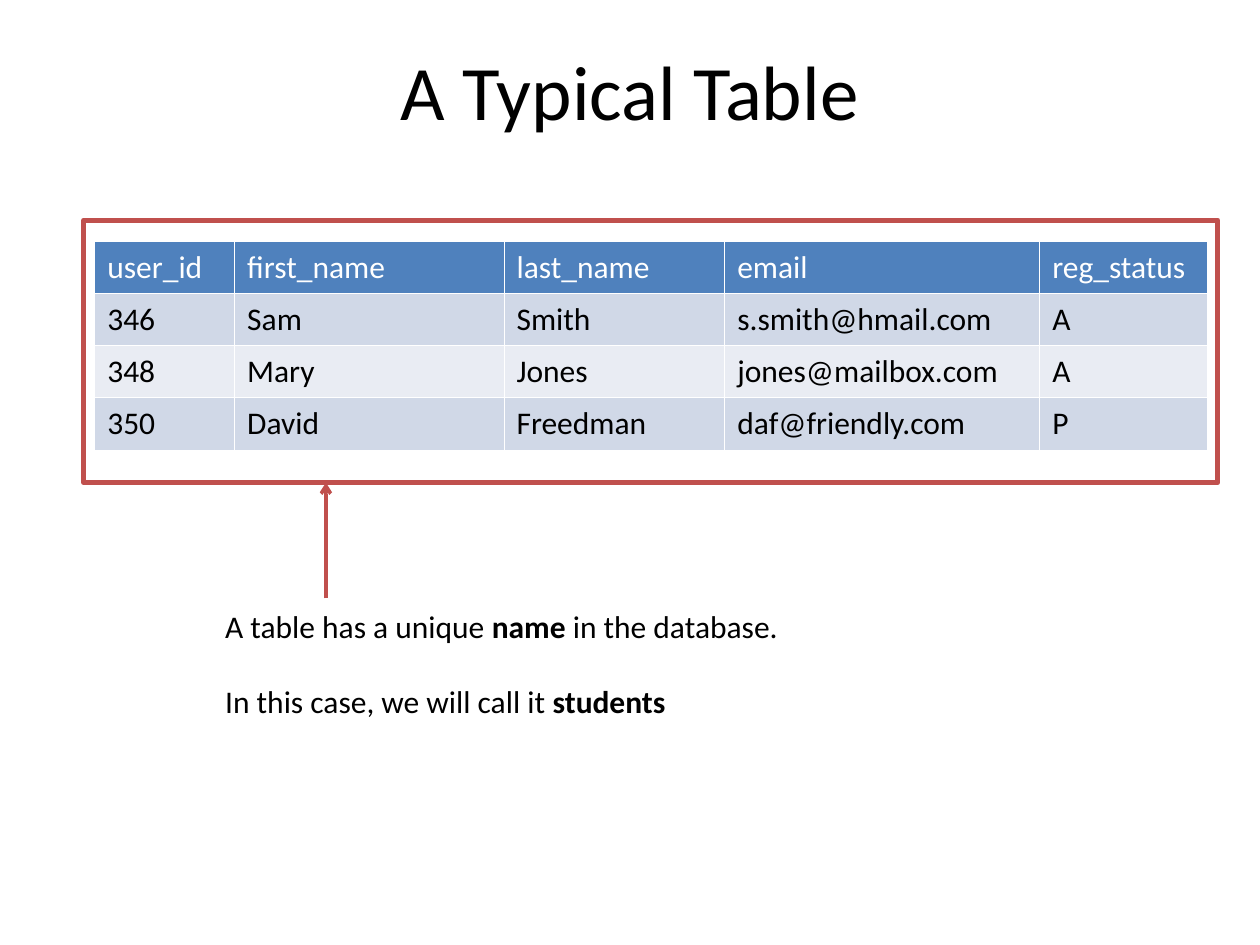
from lxml import etree
from pptx import Presentation
from pptx.dml.color import RGBColor
from pptx.enum.shapes import MSO_CONNECTOR, MSO_SHAPE
from pptx.enum.text import MSO_ANCHOR, MSO_AUTO_SIZE, PP_ALIGN
from pptx.oxml import parse_xml
from pptx.oxml.ns import nsdecls, qn
from pptx.util import Cm, Pt

TITLE = "A Typical Table"
STUDENTS = [
    ("user_id", "first_name", "last_name", "email", "reg_status"),
    ("346", "Sam", "Smith", "s.smith@hmail.com", "A"),
    ("348", "Mary", "Jones", "jones@mailbox.com", "A"),
    ("350", "David", "Freedman", "daf@friendly.com", "P"),
]
# Each paragraph is a list of (text, bold) runs.
NOTE = [
    [("A table has a unique ", False), ("name", True), (" in the database.", False)],
    [("In this case, we will call it ", False), ("students", True)],
]

FONT = "Calibri"
COLORS = {
    "text": "000000",
    "header_text": "FFFFFF",
    "header": "4F81BD",
    "odd_row": "D0D8E7",
    "even_row": "E9ECF3",
    "border": "FFFFFF",
    "accent": "C0504D",
}
COLUMN_WIDTHS = [2.82, 5.43, 4.45, 6.35, 3.38]
ROW_HEIGHT = 1.05
TABLE_LEFT, TABLE_TOP = 1.91, 4.87
FRAME_LEFT, FRAME_TOP, FRAME_WIDTH, FRAME_HEIGHT = 1.69, 4.44, 22.86, 5.29
ARROW_X, ARROW_START = 6.57, 12.06


def rgb(name):
    return RGBColor.from_string(COLORS[name])


def write(frame, paragraphs, size=18, color="text", align=PP_ALIGN.LEFT,
          line_spacing=None, gap=0):
    """Fill a text frame; gap is the space in points between paragraphs."""
    for index, runs in enumerate(paragraphs):
        paragraph = frame.add_paragraph() if index else frame.paragraphs[0]
        paragraph.alignment = align
        if line_spacing:
            paragraph.line_spacing = line_spacing
        if index:
            paragraph.space_before = Pt(gap)
        for text, bold in runs:
            run = paragraph.add_run()
            run.text = text
            run.font.name = FONT
            run.font.size = Pt(size)
            run.font.bold = bold
            run.font.color.rgb = rgb(color)


def set_borders(cell):
    properties = cell._tc.get_or_add_tcPr()
    for side in ("lnL", "lnR", "lnT", "lnB"):
        properties.append(parse_xml(
            f'<a:{side} {nsdecls("a")} w="{Pt(0.45)}"><a:solidFill>'
            f'<a:srgbClr val="{COLORS["border"]}"/></a:solidFill></a:{side}>'))


def add_students_table(shapes):
    table = shapes.add_table(
        len(STUDENTS), len(COLUMN_WIDTHS), Cm(TABLE_LEFT), Cm(TABLE_TOP),
        Cm(sum(COLUMN_WIDTHS)), Cm(ROW_HEIGHT * len(STUDENTS))).table
    for column, width in zip(table.columns, COLUMN_WIDTHS):
        column.width = Cm(width)
    for row_index, values in enumerate(STUDENTS):
        table.rows[row_index].height = Cm(ROW_HEIGHT)
        is_header = row_index == 0
        fill = "header" if is_header else "odd_row" if row_index % 2 else "even_row"
        for column_index, value in enumerate(values):
            cell = table.cell(row_index, column_index)
            set_borders(cell)
            cell.fill.solid()
            cell.fill.fore_color.rgb = rgb(fill)
            write(cell.text_frame, [[(value, False)]], line_spacing=1.02,
                  color="header_text" if is_header else "text")


def add_frame(shapes):
    frame = shapes.add_shape(MSO_SHAPE.RECTANGLE, Cm(FRAME_LEFT), Cm(FRAME_TOP),
                             Cm(FRAME_WIDTH), Cm(FRAME_HEIGHT))
    frame.shadow.inherit = False
    frame.fill.background()
    frame.line.color.rgb = rgb("accent")
    frame.line.width = Pt(3)


def add_arrow(shapes):
    arrow = shapes.add_connector(MSO_CONNECTOR.STRAIGHT, Cm(ARROW_X), Cm(ARROW_START),
                                 Cm(ARROW_X), Cm(FRAME_TOP + FRAME_HEIGHT))
    arrow.line.color.rgb = rgb("accent")
    arrow.line.width = Pt(2)
    etree.SubElement(arrow.line._get_or_add_ln(), qn("a:tailEnd"), type="arrow")
    etree.SubElement(arrow._element.spPr, qn("a:effectLst"))


def main():
    presentation = Presentation()
    presentation.slide_width, presentation.slide_height = Cm(25.4), Cm(19.05)
    slide = presentation.slides.add_slide(presentation.slide_layouts[5])
    shapes = slide.shapes

    title = shapes.title
    title.left, title.top, title.width, title.height = Cm(1.27), Cm(0.76), Cm(22.86), Cm(3.18)
    title.text_frame.vertical_anchor = MSO_ANCHOR.TOP
    write(title.text_frame, [[(TITLE, False)]], size=44, align=PP_ALIGN.CENTER)

    add_students_table(shapes)
    add_frame(shapes)
    add_arrow(shapes)

    note = shapes.add_textbox(Cm(4.29), Cm(12.12), Cm(11.66), Cm(2.54)).text_frame
    note.word_wrap = False
    note.auto_size = MSO_AUTO_SIZE.SHAPE_TO_FIT_TEXT
    write(note, NOTE, gap=21)

    presentation.save("out.pptx")


if __name__ == "__main__":
    main()
